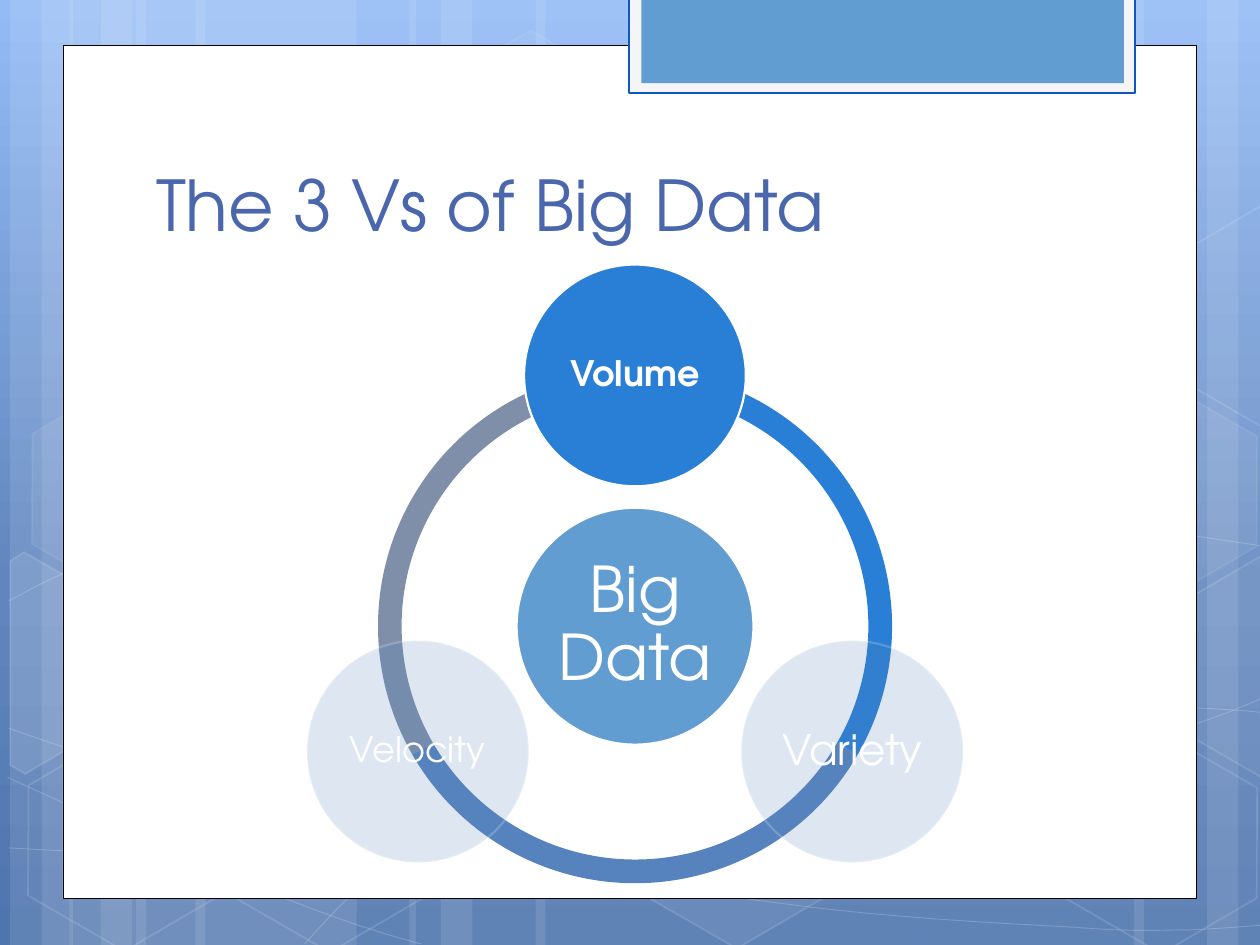
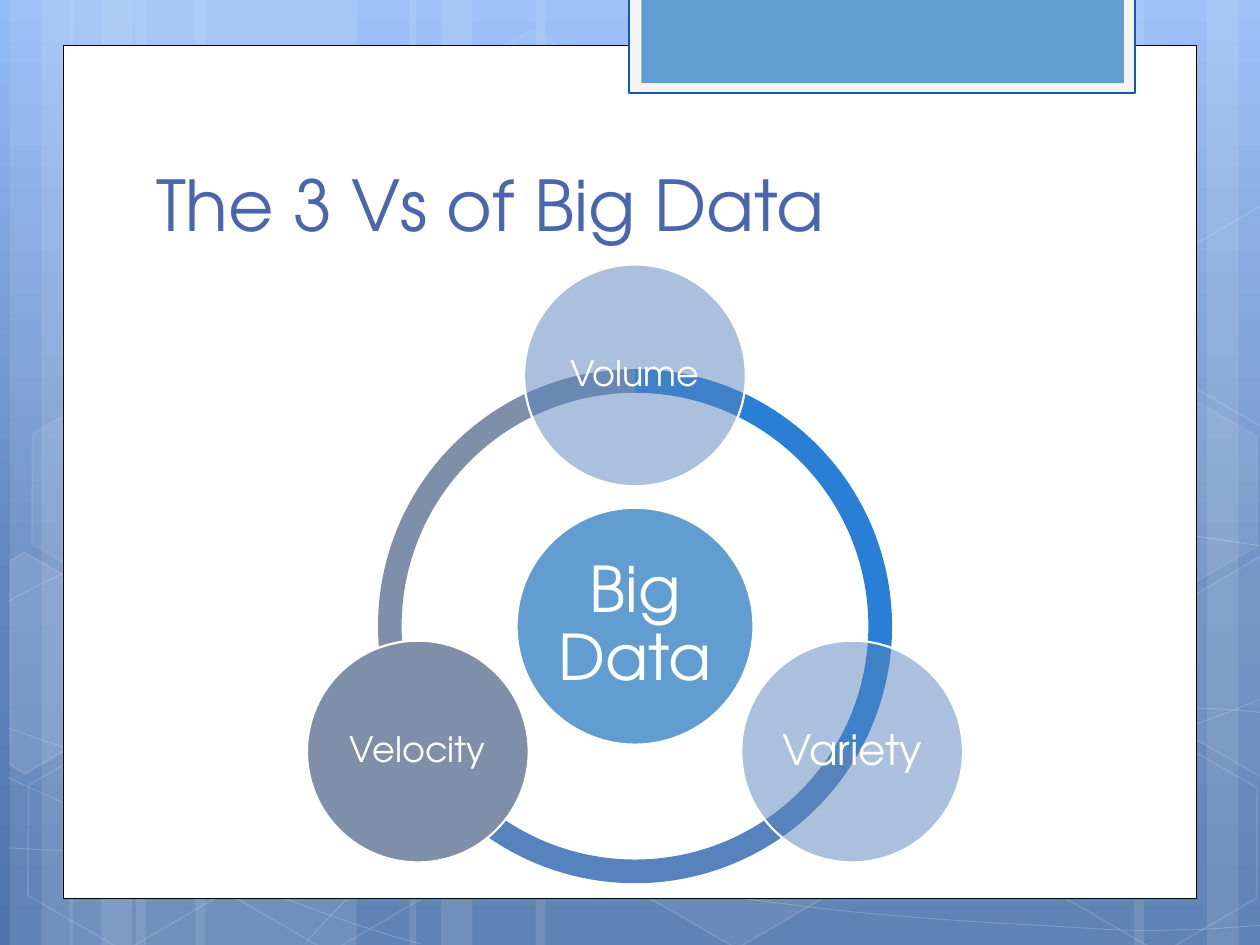
"""Build two slides on the 3 Vs of big data, each with a ring of three nodes."""
from copy import deepcopy
from math import cos, radians, sin

from lxml import etree
from pptx import Presentation
from pptx.dml.color import RGBColor
from pptx.enum.shapes import MSO_SHAPE
from pptx.enum.text import MSO_ANCHOR, PP_ALIGN
from pptx.oxml.ns import qn
from pptx.util import Inches, Pt

RECT, OVAL, HEXAGON, ARC = (MSO_SHAPE.RECTANGLE, MSO_SHAPE.OVAL,
                            MSO_SHAPE.HEXAGON, MSO_SHAPE.BLOCK_ARC)
MIDDLE, BOTTOM = MSO_ANCHOR.MIDDLE, MSO_ANCHOR.BOTTOM
LEFT, CENTER = PP_ALIGN.LEFT, PP_ALIGN.CENTER

WHITE = RGBColor(0xFF, 0xFF, 0xFF)
BLACK = RGBColor(0x00, 0x00, 0x00)
PALE = RGBColor(0xF5, 0xF5, 0xF5)
TAB_EDGE = RGBColor(0x0E, 0x58, 0xC4)
SKY = RGBColor(0x62, 0x9D, 0xD1)
INDIGO = RGBColor(0x4A, 0x66, 0xAC)
BLUE = RGBColor(0x29, 0x7F, 0xD5)
STEEL = RGBColor(0x56, 0x83, 0xBD)
SLATE = RGBColor(0x7F, 0x8F, 0xA9)
BACKDROP = [(0, RGBColor(0x93, 0xBB, 0xF6)), (0.62, RGBColor(0x61, 0x86, 0xBE)),
            (1, RGBColor(0x4F, 0x75, 0xAE))]
FONT = "TeX Gyre Adventor"

TITLE = "The 3 Vs of Big Data"
HUB = "Big Data"
NODES = [("Volume", -90, 20), ("Variety", 30, 24), ("Velocity", 150, 20)]
FADED = {"fill": STEEL, "alpha": 20, "line_alpha": 20}
HALF = {"fill": STEEL, "alpha": 50}
SLIDES = [
    {"Volume": {"fill": BLUE}, "Variety": FADED, "Velocity": FADED, "bold": "Volume"},
    {"Volume": HALF, "Variety": HALF, "Velocity": {"fill": SLATE}, "bold": None},
]

CX, CY = 5.04, 4.97
ORBIT, RING, HUB_SIZE, NODE_SIZE = 1.99, 4.08, 1.88, 1.76
ARCS = [(90, 162, SLATE), (18, 90, STEEL), (162, 18, BLUE)]

STRIPES = [(1.08, 1.75), (0.08, 0.5), (0.33, 0.83), (1.55, 1.75), (0.55, 0.5),
           (0.8, 0.83), (7.33, 1.75), (9.58, 0.5), (9, 0.83), (4.25, 3.08),
           (3.25, 0.5), (3.5, 0.83)]
CURVES = [
    [(0.07, 6.73), (0.61, 6.76, 1.15, 6.79, 1.9, 6.78), (2.65, 6.77, 3.58, 6.75, 4.58, 6.65),
     (5.58, 6.55, 7, 6.36, 7.92, 6.17), (8.83, 5.98, 9.77, 5.68, 10.07, 5.51)],
    [(0.07, 4.77), (0.36, 4.61, 0.65, 4.46, 1.21, 4.31), (1.78, 4.16, 2.59, 3.94, 3.47, 3.87),
     (4.36, 3.8, 5.44, 3.79, 6.54, 3.87), (7.64, 3.95, 9.47, 4.26, 10.07, 4.34)],
    [(0.06, 6.17), (1.27, 6.72, 2.47, 7.27, 3.34, 7.49)],
    [(0.07, 5.78), (0.38, 5.89, 0.7, 6, 1.28, 6.16), (1.86, 6.31, 2.73, 6.56, 3.57, 6.73),
     (4.4, 6.9, 5.45, 7.08, 6.28, 7.18), (7.11, 7.29, 8, 7.33, 8.53, 7.36),
     (9.05, 7.4, 9.19, 7.38, 9.45, 7.38), (9.71, 7.37, 9.89, 7.35, 10.07, 7.34)],
    [(2.42, 7.49), (2.6, 7.29, 2.78, 7.09, 3.02, 6.91), (3.26, 6.73, 3.6, 6.53, 3.88, 6.39),
     (4.16, 6.25, 4.33, 6.19, 4.7, 6.09), (5.06, 5.99, 5.73, 5.85, 6.08, 5.78),
     (6.44, 5.71, 6.49, 5.71, 6.8, 5.69), (7.11, 5.66, 7.6, 5.63, 7.94, 5.62),
     (8.29, 5.61, 8.86, 5.62, 8.86, 5.62), (9.53, 5.62),
     (9.71, 5.63, 9.88, 5.64, 9.97, 5.65), (10.03, 5.66, 10.03, 5.65, 10.06, 5.66)],
]
TILT = 30
HEXAGONS = [(3.34, 0.36, 4, 8), (4.97, 5.89, 6, 12), (0.11, 5.91, 0, 12),
            (0.14, 3.12, 7, 8), (1.74, 5.92, 0, 12), (7.53, 4.53, 10, 12),
            (8.34, 5.93, 0, 12), (8.34, 3.14, 7, 8)]
CUT_HEXAGONS = [
    (10, (0.36, 5.35), [(0.08, 4.45), (0.19, 4.38), (0.96, 4.82), (0.95, 5.7),
                        (0.2, 6.14), (0.08, 6.07)]),
    (4, (9.85, 5.2), [(9.26, 4.85), (10.01, 4.41), (10.09, 4.46), (10.09, 6.13),
                      (10.02, 6.17), (9.26, 5.73)]),
    (0, (9.85, 2.41), [(9.26, 2.07), (10.01, 1.63), (10.1, 1.68), (10.09, 3.35),
                       (10.02, 3.39), (9.26, 2.95)]),
]


def set_alpha(solid, percent):
    if percent < 100:
        etree.SubElement(solid[0], qn("a:alpha"), val=str(percent * 1000))


def paint(sp, fill=None, alpha=100, line=None, width=1, line_alpha=100):
    """Give a shape its fill and line; a missing colour or zero alpha means none."""
    sp.shadow.inherit = False
    props = sp.element.spPr
    if fill is None or alpha == 0:
        sp.fill.background()
    else:
        sp.fill.solid()
        sp.fill.fore_color.rgb = fill
        set_alpha(props.find(qn("a:solidFill")), alpha)
    if line is None:
        sp.line.fill.background()
    else:
        sp.line.color.rgb = line
        sp.line.width = Pt(width)
        set_alpha(props.find(qn("a:ln")).find(qn("a:solidFill")), line_alpha)


def add_shape(s, kind, box, adjustments=(), **style):
    sp = s.shapes.add_shape(kind, *map(Inches, box))
    for i, value in enumerate(adjustments):
        sp.adjustments[i] = value
    paint(sp, **style)
    return sp


def add_outline(s, points, close, **style):
    first, *rest = [(Inches(x), Inches(y)) for x, y in points]
    builder = s.shapes.build_freeform(*first)
    builder.add_line_segments(rest, close=close)
    sp = builder.convert_to_shape()
    paint(sp, **style)
    return sp


def add_curve(s, segments, **style):
    """Draw the line through the end points, then bend each cubic segment."""
    sp = add_outline(s, [segment[-2:] for segment in segments], False, **style)
    lines = list(sp.element.iter(qn("a:lnTo")))
    for line, segment in zip(lines, segments[1:]):
        if len(segment) == 2:
            continue
        bend = etree.Element(qn("a:cubicBezTo"))
        for x, y in zip(segment[::2], segment[1::2]):
            etree.SubElement(bend, qn("a:pt"), x=str(Inches(x) - sp.left),
                             y=str(Inches(y) - sp.top))
        line.getparent().replace(line, bend)


def turn_back(point, centre):
    angle = radians(-TILT)
    dx, dy = point[0] - centre[0], point[1] - centre[1]
    return (centre[0] + dx * cos(angle) - dy * sin(angle),
            centre[1] + dx * sin(angle) + dy * cos(angle))


def write(sp, text, anchor, align, inset=None, spacing=None, color=WHITE, **font):
    tf = sp.text_frame
    tf.word_wrap = True
    tf.vertical_anchor = anchor
    if inset is not None:
        for side in ("left", "top", "right", "bottom"):
            setattr(tf, f"margin_{side}", Inches(inset))
    p = tf.paragraphs[0]
    p.alignment = align
    p.line_spacing = spacing
    r = p.add_run()
    r.text = text
    r.font.color.rgb = color
    for name, value in {"name": FONT, **font}.items():
        setattr(r.font, name, value)


def centred(x, y, size):
    return x - size / 2, y - size / 2, size, size


def set_backdrop(master):
    fill = master.background.fill
    fill.gradient()
    fill.gradient_angle = 270
    stops = master.element.find(".//" + qn("a:gsLst"))
    stops.insert(1, deepcopy(stops[0]))
    for stop, (position, color) in zip(fill.gradient_stops, BACKDROP):
        stop.position = position
        stop.color.rgb = color


def add_frame(s):
    for left, width in STRIPES:
        add_shape(s, RECT, (left, 0, width, 7.5), fill=WHITE, alpha=10)
    for curve in CURVES:
        add_curve(s, curve, line=WHITE, width=0.5, line_alpha=20)
    for left, top, alpha, line_alpha in HEXAGONS:
        sp = add_shape(s, HEXAGON, (left, top, 1.75, 1.52), (0.285, 1.155),
                       fill=WHITE, alpha=alpha, line=WHITE, line_alpha=line_alpha)
        sp.rotation = TILT
    for alpha, centre, points in CUT_HEXAGONS:
        sp = add_outline(s, [turn_back(point, centre) for point in points], True,
                         fill=WHITE, alpha=alpha, line=WHITE, line_alpha=12)
        sp.rotation = TILT
    add_shape(s, RECT, (0.5, 0.36, 9, 6.77), fill=WHITE, line=BLACK, width=0.5)
    add_shape(s, RECT, (4.99, -0.02, 4.02, 0.76), fill=PALE, line=TAB_EDGE, width=1.25)
    add_shape(s, RECT, (5.09, -0.02, 3.83, 0.68), fill=SKY)
    title = s.shapes.add_textbox(*map(Inches, (1.14, 0.75, 7.68, 1.25)))
    write(title, TITLE, BOTTOM, LEFT, color=INDIGO, size=Pt(40))


def add_ring(s, look):
    for start, end, color in ARCS:
        add_shape(s, ARC, centred(CX, CY, RING), (start, end, 0.046), fill=color)
    hub = add_shape(s, OVAL, centred(CX, CY, HUB_SIZE), fill=SKY, line=WHITE, width=1.25)
    write(hub, HUB, MIDDLE, CENTER, 0.05, 0.9, size=Pt(36))
    for label, degrees, size in NODES:
        angle = radians(degrees)
        box = centred(CX + ORBIT * cos(angle), CY + ORBIT * sin(angle), NODE_SIZE)
        node = add_shape(s, OVAL, box, line=WHITE, width=1.25, **look[label])
        write(node, label, MIDDLE, CENTER, 0.03, 0.9, size=Pt(size), bold=label == look["bold"])


def main():
    prs = Presentation()
    prs.slide_width, prs.slide_height = Inches(10), Inches(7.5)
    set_backdrop(prs.slide_master)
    for look in SLIDES:
        s = prs.slides.add_slide(prs.slide_layouts[6])
        add_frame(s)
        add_ring(s, look)
    prs.save("out.pptx")


if __name__ == "__main__":
    main()
